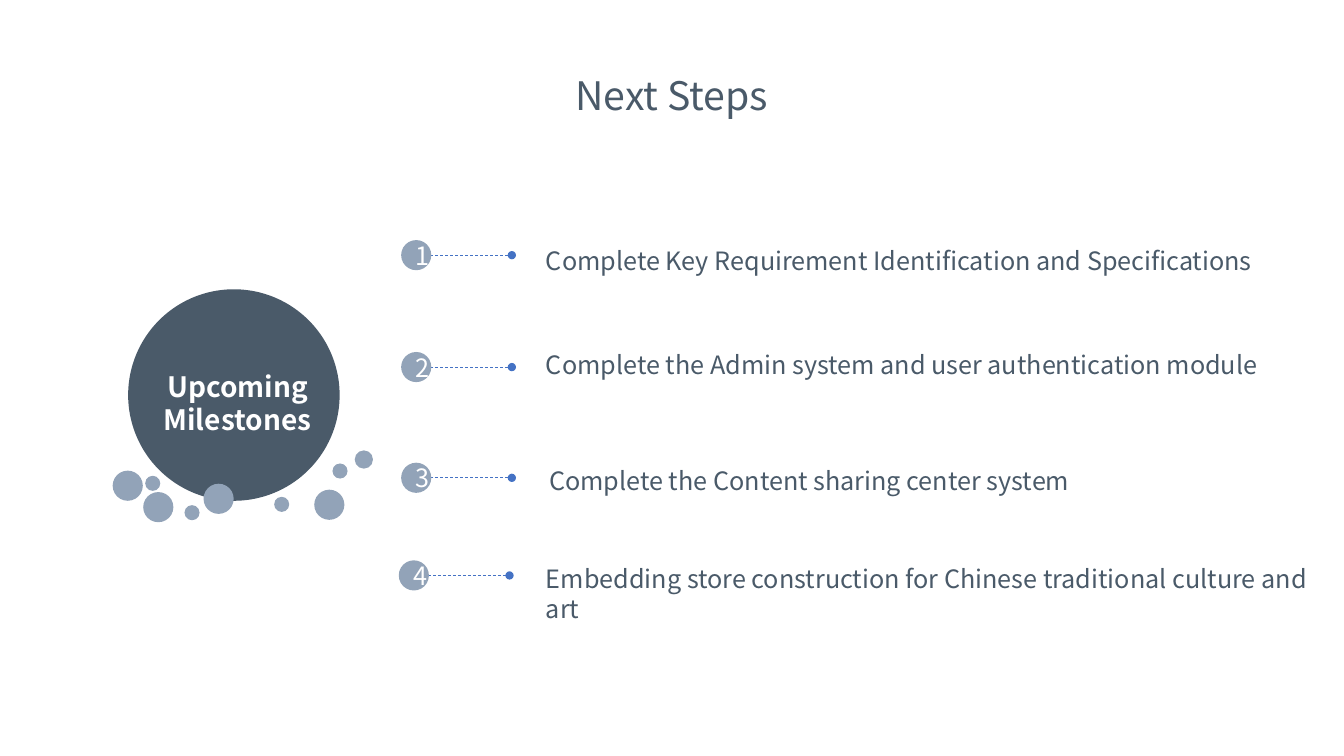
from lxml.etree import SubElement
from pptx import Presentation
from pptx.dml.color import RGBColor
from pptx.enum.dml import MSO_LINE
from pptx.enum.shapes import MSO_CONNECTOR, MSO_SHAPE
from pptx.enum.text import MSO_ANCHOR, MSO_AUTO_SIZE, PP_ALIGN
from pptx.oxml.ns import qn
from pptx.util import Cm, Pt

# Content, lengths in cm
FONT = "Noto Sans CJK SC"
SLATE, MIST, BLUE, WHITE = "4A5A69", "92A3B8", "4472C4", "FFFFFF"
TITLE = ("Next Steps", (14.1, 1.68, 5.66, 1.45))
TOPIC = ("Upcoming Milestones", (4.04, 9.3, 3.89, 1.7))
TOPIC_CIRCLE = (3.23, 7.29, 5.33)
LARGE, MEDIUM, SMALL = 0.76, 0.46, 0.38
BUBBLES = [  # left, top, diameter
    (3.61, 12.4, LARGE), (4.65, 12.73, SMALL), (5.13, 12.19, LARGE),
    (6.91, 12.52, SMALL), (2.84, 11.86, LARGE), (3.66, 11.99, SMALL),
    (7.92, 12.34, LARGE), (8.94, 11.35, MEDIUM), (8.38, 11.68, SMALL),
]
MILESTONES = [  # wording, text box, left of badge, middle of badge
    ("Complete Key Requirement Identification and Specifications",
     (13.51, 6.05, 18.75, 1.8), 10.11, 6.43),
    ("Complete the Admin system and user authentication module",
     (13.51, 8.69, 19.76, 1.02), 10.11, 9.25),
    ("Complete the Content sharing center system",
     (13.59, 11.61, 16.03, 1.02), 10.11, 12.04),
    ("Embedding store construction for Chinese traditional culture and art",
     (13.51, 14.07, 19.79, 1.8), 10.05, 14.5),
]
LEADER_OFFSET, LEADER_LENGTH = 0.61, 2.18

deck = Presentation()
deck.slide_width, deck.slide_height = Cm(33.87), Cm(19.05)
slide = deck.slides.add_slide(deck.slide_layouts[6])


def rgb(value):
    return RGBColor.from_string(value)


def write(frame, wording, size, color, align=PP_ALIGN.LEFT, bold=False):
    frame.text = wording
    paragraph = frame.paragraphs[0]
    paragraph.alignment = align
    font = paragraph.runs[0].font
    font.name, font.size, font.bold = FONT, Pt(size), bold
    font.color.rgb = rgb(color)


def add_label(wording, box, size, color, wrap=True, **style):
    frame = slide.shapes.add_textbox(*map(Cm, box)).text_frame
    write(frame, wording, size, color, **style)
    frame.word_wrap = wrap
    frame.auto_size = MSO_AUTO_SIZE.SHAPE_TO_FIT_TEXT
    return frame


def add_circle(left, top, diameter, color):
    circle = slide.shapes.add_shape(
        MSO_SHAPE.OVAL, *map(Cm, (left, top, diameter, diameter)))
    circle.shadow.inherit = False
    circle.fill.solid()
    circle.fill.fore_color.rgb = rgb(color)
    circle.line.fill.background()
    return circle


def add_leader(left, middle):
    leader = slide.shapes.add_connector(
        MSO_CONNECTOR.STRAIGHT,
        *map(Cm, (left, middle, left + LEADER_LENGTH, middle)))
    leader.line.color.rgb = rgb(BLUE)
    leader.line.width = Pt(0.5)
    leader.line.dash_style = MSO_LINE.DASH
    SubElement(leader.line._get_or_add_ln(), qn("a:tailEnd"), type="oval")
    SubElement(leader._element.spPr, qn("a:effectLst"))


# Title
add_label(*TITLE, 28, SLATE, wrap=False, align=PP_ALIGN.CENTER)

# Topic circle with its bubbles
add_circle(*TOPIC_CIRCLE, SLATE)
for bubble in BUBBLES:
    add_circle(*bubble, MIST)
topic = add_label(*TOPIC, 20, WHITE, align=PP_ALIGN.CENTER, bold=True)
topic.margin_left = topic.margin_right = 0
topic.margin_top = topic.margin_bottom = 0

# Numbered milestones
for number, (wording, box, left, middle) in enumerate(MILESTONES, 1):
    add_leader(left + LEADER_OFFSET, middle)
    badge = add_circle(left, middle - LARGE / 2, LARGE, MIST)
    badge.text_frame.vertical_anchor = MSO_ANCHOR.MIDDLE
    write(badge.text_frame, str(number), 18, WHITE, PP_ALIGN.CENTER)
    add_label(wording, box, 18, SLATE)

deck.save("out.pptx")
